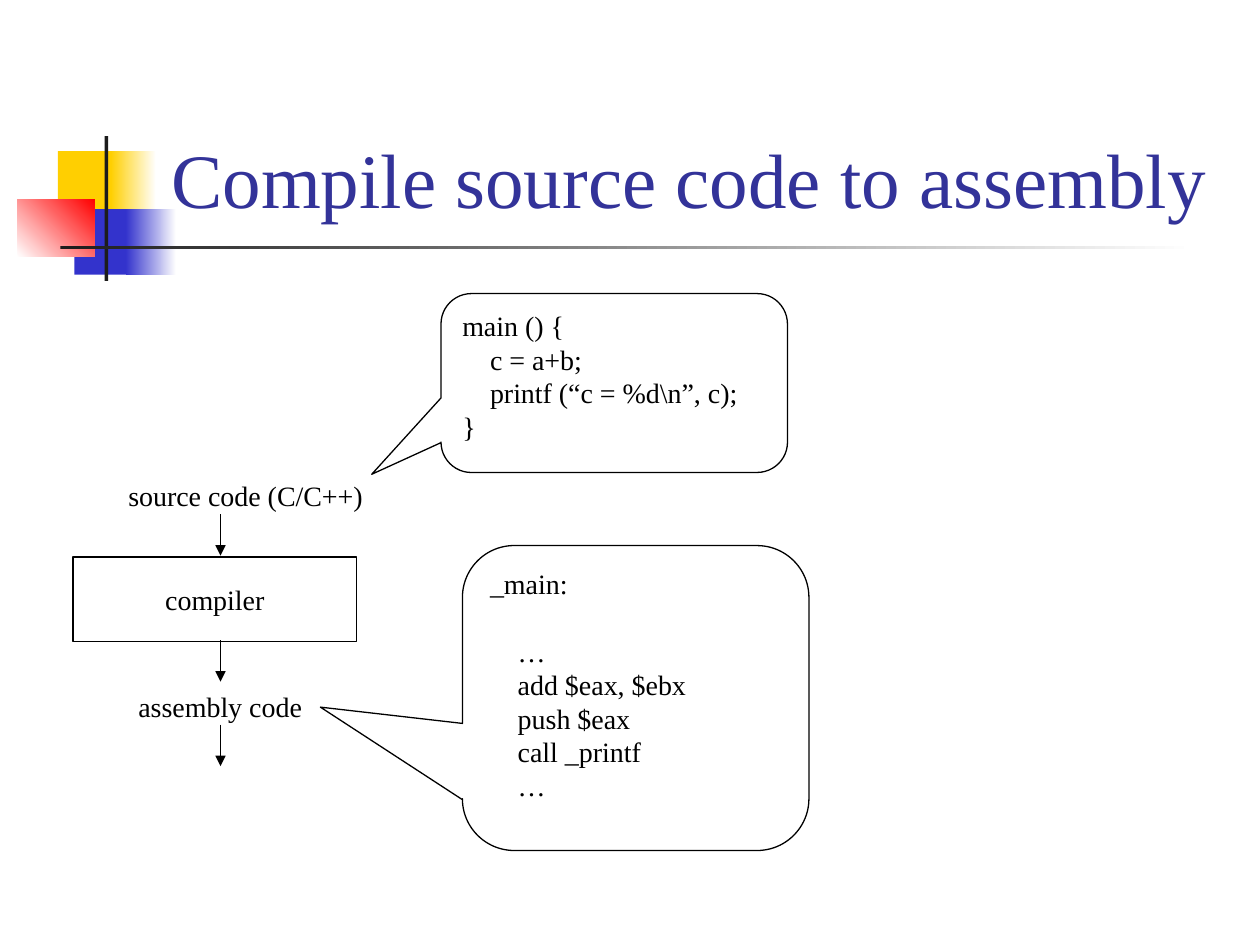
from dataclasses import dataclass

from lxml.etree import SubElement
from pptx import Presentation
from pptx.dml.color import RGBColor
from pptx.enum.shapes import MSO_CONNECTOR as Link, MSO_SHAPE as Kind
from pptx.enum.text import MSO_ANCHOR as Anchor, MSO_AUTO_SIZE as Fit, PP_ALIGN as Align
from pptx.oxml.ns import qn
from pptx.util import Inches, Pt


@dataclass(frozen=True)
class Theme:
    font: str = "Times New Roman"
    head: float = 44
    body: float = 16
    lead: float = 19.2
    thin: float = 0.75
    ink: str = "000000"
    title: str = "333399"
    gold: str = "FFCF01"
    blue: str = "3333CC"
    red: str = "FF0000"
    dark: str = "1C1C1C"
    white: str = "FFFFFF"


theme = Theme()


def write(frame, text, size=theme.body, color=theme.ink, align=Align.LEFT,
          anchor=Anchor.TOP, wrap=True, lead=None, fit=Fit.NONE):
    """Fill a text frame; a leading tab indents a line, a leading newline adds a gap."""
    frame.word_wrap, frame.auto_size, frame.vertical_anchor = wrap, fit, anchor
    lines = [text] if isinstance(text, str) else text
    for i, line in enumerate(lines):
        para = frame.paragraphs[0] if i == 0 else frame.add_paragraph()
        para.alignment = align
        if lead:
            para.line_spacing = Pt(lead)
        if line.startswith("\n"):
            para.space_before = Pt(lead)
        if "\t" in line:
            props = para._p.get_or_add_pPr()
            props.set("marL", str(Inches(0.22)))
            props.set("indent", "0")
        run = para.add_run()
        run.text = line.strip()
        font = run.font
        font.name, font.size = theme.font, Pt(size)
        font.color.rgb = RGBColor.from_string(color)


def draw(kind, box, colors=(), angle=0):
    """Add a shape: no colour gives an outline, one a flat fill, two a gradient."""
    shape = slide.shapes.add_shape(kind, *map(Inches, box))
    shape.shadow.inherit = False
    if not colors:
        shape.fill.background()
        shape.line.color.rgb = RGBColor.from_string(theme.ink)
        shape.line.width = Pt(theme.thin)
        return shape
    shape.line.fill.background()
    if len(colors) == 1:
        shape.fill.solid()
        shape.fill.fore_color.rgb = RGBColor.from_string(colors[0])
    else:
        shape.fill.gradient()
        shape.fill.gradient_angle = angle
        for stop, color in zip(shape.fill.gradient_stops, colors):
            stop.color.rgb = RGBColor.from_string(color)
    return shape


deck = Presentation()
deck.slide_width, deck.slide_height = Inches(10), Inches(7.5)
slide = deck.slides.add_slide(deck.slide_layouts[5])

# Corner ornament and rule
for box, colors, angle in [
    ((0.46, 1.2, 0.48, 0.52), (theme.gold,), 0),
    ((0.88, 1.2, 0.36, 0.52), (theme.gold, theme.white), 0),
    ((0.59, 1.66, 0.46, 0.52), (theme.blue,), 0),
    ((1, 1.66, 0.4, 0.52), (theme.blue, theme.white), 0),
    ((0.14, 1.58, 0.61, 0.46), (theme.white, theme.red), 45),
    ((0.83, 1.08, 0.03, 1.15), (theme.dark,), 0),
    ((0.48, 1.95, 9, 0.03), (theme.dark, theme.white), 0),
]:
    draw(Kind.RECTANGLE, box, colors, angle)

title = slide.shapes.title
title.left, title.top, title.width, title.height = map(Inches, (1.26, 0.23, 8.52, 1.6))
write(title.text_frame, "Compile source code to assembly",
      size=theme.head, color=theme.title, anchor=Anchor.BOTTOM)

# Compile flow
for text, left, top, width in [("source code (C/C++)", 0.92, 3.75, 2.07),
                               ("assembly code", 1, 5.42, 1.51)]:
    label = slide.shapes.add_textbox(*map(Inches, (left, top, width, 0.37)))
    write(label.text_frame, text, wrap=False, fit=Fit.SHAPE_TO_FIT_TEXT)

step = draw(Kind.RECTANGLE, (0.58, 4.42, 2.25, 0.67))
write(step.text_frame, "compiler", align=Align.CENTER, anchor=Anchor.MIDDLE, wrap=False)

for top in (4.08, 5.08, 5.75):
    arrow = slide.shapes.add_connector(
        Link.STRAIGHT, *map(Inches, (1.75, top, 1.75, top + 0.33)))
    arrow.line.color.rgb = RGBColor.from_string(theme.ink)
    arrow.line.width = Pt(theme.thin)
    SubElement(arrow.line._get_or_add_ln(), qn("a:tailEnd"), type="triangle")
    SubElement(arrow._element.spPr, qn("a:effectLst"))

# Code samples
for box, tip, code in [
    ((3.5, 2.33, 2.75, 1.42), (-0.7, 0.51),
     ["main () {", "\tc = a+b;", "\tprintf (“c = %d\\n”, c);", "}"]),
    ((3.67, 4.33, 2.75, 2.42), (-0.91, 0.03),
     ["_main:", "\n\t…", "\tadd $eax, $ebx", "\tpush $eax", "\tcall _printf", "\t…"]),
]:
    bubble = draw(Kind.ROUNDED_RECTANGULAR_CALLOUT, box)
    for i, value in enumerate((*tip, 0.17)):
        bubble.adjustments[i] = value
    write(bubble.text_frame, code, lead=theme.lead)

deck.save("out.pptx")
